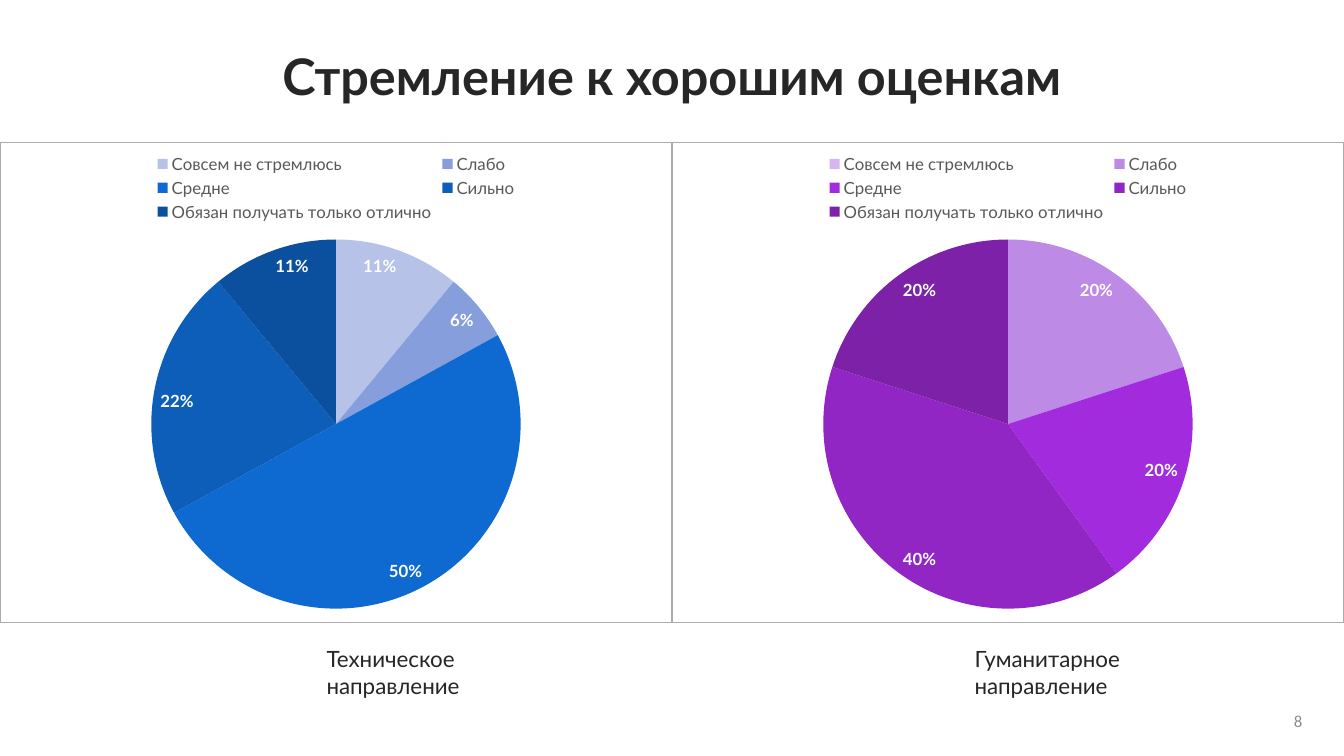
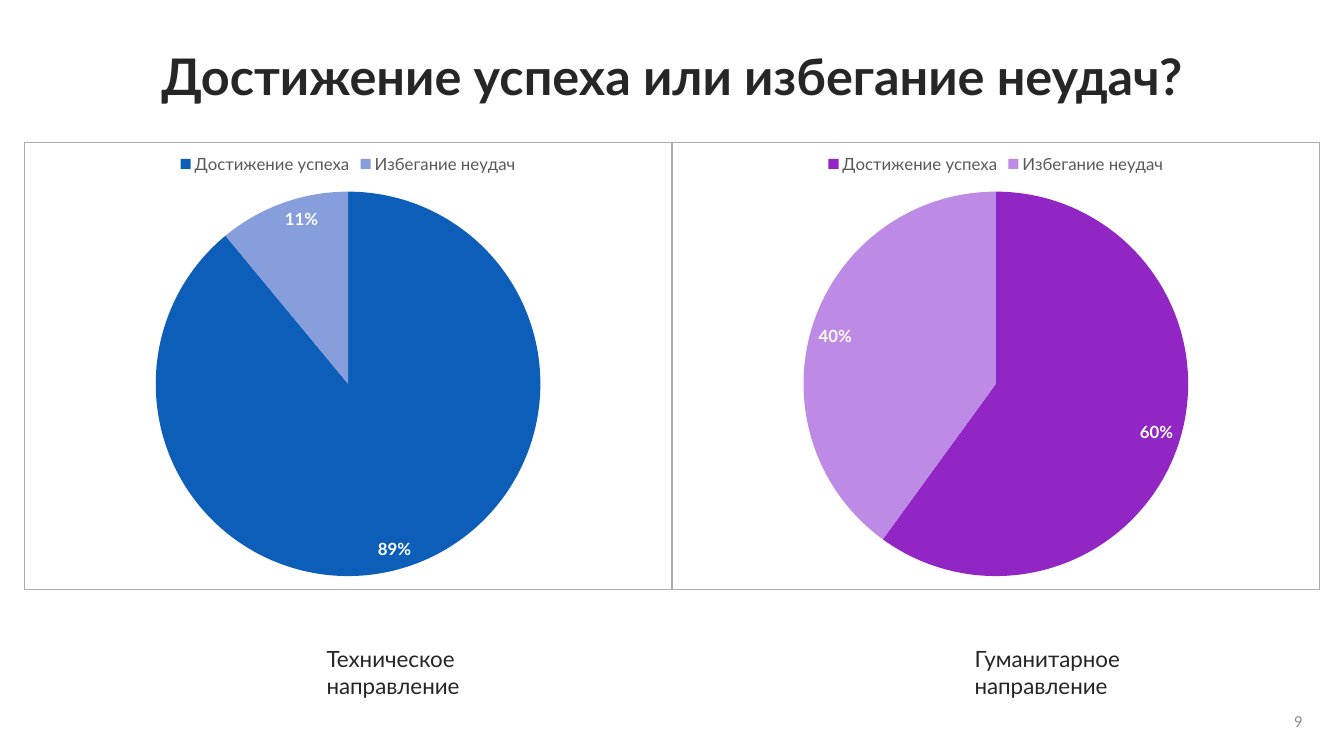
from dataclasses import dataclass

from pptx import Presentation
from pptx import util as u
from pptx.chart import data as chart_data
from pptx.dml import color
from pptx.enum import chart as chart_enum
from pptx.enum import text
from pptx.oxml import parse_xml
from pptx.oxml.ns import nsdecls


@dataclass(frozen=True)
class Theme:
    """Fonts, colours and type sizes that the slides share."""
    font: str = "Lato"
    number_font: str = "Calibri"
    ink: str = "252625"
    number: str = "8C8C8C"
    legend: str = "595959"
    border: str = "AFABAB"
    label: str = "FFFFFF"
    black: str = "000000"
    blues: tuple = ("B6C2E8", "879EDD", "0E6AD1", "0C5EB9", "0B509F")
    purples: tuple = ("D4B7EE", "BD8AE6", "A32BDE", "9126C5", "7C21A8")
    title_size: int = 36
    caption_size: int = 16
    small_size: int = 12
    chart_size: int = 10


THEME = Theme()
ALIGN = text.PP_ALIGN
SLIDE_WIDTH = 33.87
CHART_TOP = 3.58
GROUPS = [
    ("Техническое направление", THEME.blues, 7.98),
    ("Гуманитарное направление", THEME.purples, 24.31),
]
# shades holds each category's place in the group's palette
PAGES = [
    dict(
        number=8, title="Стремление к хорошим оценкам", margin=0, height=12.12,
        categories=["Совсем не стремлюсь", "Слабо", "Средне", "Сильно",
                    "Обязан получать только отлично"],
        shades=[0, 1, 2, 3, 4],
        values=[(11, 6, 50, 22, 11), (0, 20, 20, 40, 20)],
    ),
    dict(
        number=9, title="Достижение успеха или избегание неудач?",
        margin=0.61, height=11.3,
        categories=["Достижение успеха", "Избегание неудач"],
        shades=[3, 1],
        values=[(89, 11), (60, 40)],
    ),
]


def write(box, words, left, top, width, height, *, size, align, font=THEME.font,
          ink=THEME.ink, bold=False, anchor=text.MSO_ANCHOR.TOP, spacing=1.0,
          fit=text.MSO_AUTO_SIZE.NONE):
    """Place a text shape (lengths in cm) and fill it with one formatted paragraph."""
    box.left, box.top, box.width, box.height = map(u.Cm, (left, top, width, height))
    frame = box.text_frame
    frame.word_wrap = True
    frame.auto_size = fit
    frame.vertical_anchor = anchor
    para = frame.paragraphs[0]
    para.alignment = align
    para.line_spacing = spacing
    span = para.add_run()
    span.text = words
    style(span.font, size, ink, bold, font)


def style(face, size, ink, bold=False, name=THEME.font):
    """Set the size, colour, weight and family of a font."""
    face.size, face.bold, face.name = u.Pt(size), bold, name
    face.color.rgb = color.RGBColor.from_string(ink)


deck = Presentation()
deck.slide_width, deck.slide_height = u.Cm(SLIDE_WIDTH), u.Cm(19.05)
title_only = deck.slide_layouts[5]

for page in PAGES:
    slide = deck.slides.add_slide(title_only)
    write(slide.shapes.title, page["title"], 0, 1.17, SLIDE_WIDTH, 1.8,
          size=THEME.title_size, align=ALIGN.CENTER, bold=True, spacing=0.9)
    number_box = slide.shapes.add_textbox(0, 0, 0, 0)
    write(number_box, str(page["number"]), 31.37, 17.65, 1.7, 1.02,
          size=THEME.small_size, align=ALIGN.RIGHT, font=THEME.number_font,
          ink=THEME.number, anchor=text.MSO_ANCHOR.MIDDLE)

    chart_width = SLIDE_WIDTH / 2 - page["margin"]
    for column, (caption, palette, caption_left) in enumerate(GROUPS):
        caption_box = slide.shapes.add_textbox(0, 0, 0, 0)
        write(caption_box, caption, caption_left, 16.13, 5.87, 1.63,
              size=THEME.caption_size, align=ALIGN.JUSTIFY,
              fit=text.MSO_AUTO_SIZE.SHAPE_TO_FIT_TEXT)

        values = page["values"][column]
        answers = chart_data.CategoryChartData()
        answers.categories = page["categories"]
        answers.add_series("Series 1", values)
        chart = slide.shapes.add_chart(
            chart_enum.XL_CHART_TYPE.PIE,
            u.Cm(page["margin"] + column * chart_width), u.Cm(CHART_TOP),
            u.Cm(chart_width), u.Cm(page["height"]), answers).chart
        style(chart.font, THEME.chart_size, THEME.black)
        chart.has_title = False
        chart.has_legend = True
        chart.legend.position = chart_enum.XL_LEGEND_POSITION.TOP
        chart.legend.include_in_layout = False
        style(chart.legend.font, THEME.small_size, THEME.legend)

        pie = chart.plots[0]
        pie.vary_by_categories = True
        series = pie.series[0]
        for index, shade in enumerate(page["shades"]):
            fill = series.points[index].format.fill
            fill.solid()
            fill.fore_color.rgb = color.RGBColor.from_string(palette[shade])

        labels = series.data_labels
        labels.show_value = False
        labels.show_percentage = True
        labels.number_format = "0%"
        labels.number_format_is_linked = False
        labels.position = chart_enum.XL_LABEL_POSITION.INSIDE_END
        style(labels.font, THEME.small_size, THEME.label, bold=True)

        # An empty slice carries no label
        label_list = chart.element.xpath(".//c:ser/c:dLbls")[0]
        empty = [index for index, value in enumerate(values) if value == 0]
        for place, index in enumerate(empty):
            label_list.insert(place, parse_xml(
                f'<c:dLbl {nsdecls("c")}><c:idx val="{index}"/>'
                '<c:delete val="1"/></c:dLbl>'))

        # The frame around the chart area
        chart.element.xpath("c:txPr")[0].addprevious(parse_xml(
            f'<c:spPr {nsdecls("c", "a")}><a:noFill/><a:ln w="{u.Pt(0.75)}">'
            f'<a:solidFill><a:srgbClr val="{THEME.border}"/></a:solidFill>'
            '</a:ln></c:spPr>'))

deck.save("out.pptx")
